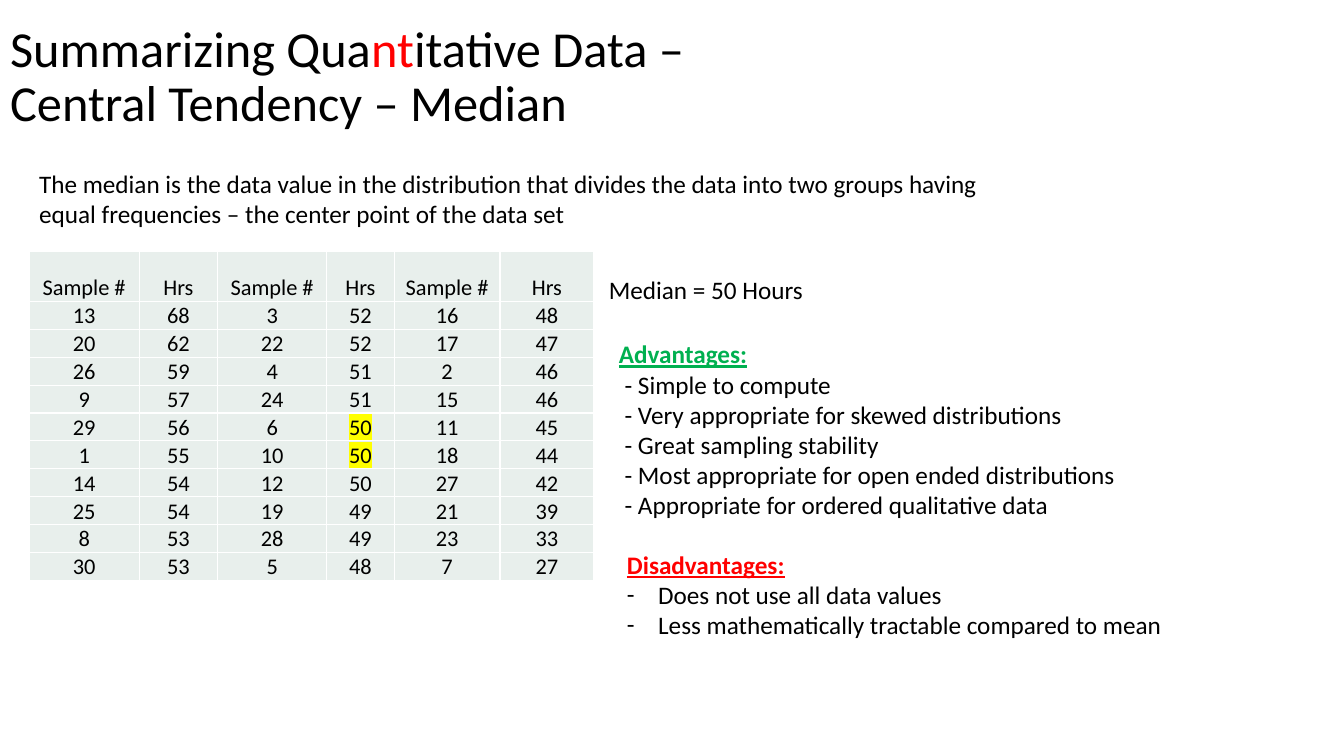
import dataclasses
import typing

import pptx
import pptx.dml.color
import pptx.enum.text
import pptx.oxml
import pptx.oxml.ns
import pptx.util

Inches = pptx.util.Inches
Pt = pptx.util.Pt
ANCHOR = pptx.enum.text.MSO_ANCHOR
ALIGN = pptx.enum.text.PP_ALIGN
FIT = pptx.enum.text.MSO_AUTO_SIZE

BLACK, RED, GREEN = "000000", "FF0000", "00B050"
WHITE, YELLOW, PALE_GREEN = "FFFFFF", "FFFF00", "E8EFEC"
HEADING = {"bold": True, "underline": True}


@dataclasses.dataclass
class Run:
    text: str
    color: str = BLACK
    format: dict[str, typing.Any] = dataclasses.field(default_factory=dict)


@dataclasses.dataclass
class Line:
    runs: list[Run]
    bullet: str = ""


@dataclasses.dataclass
class TextBox:
    left: float
    top: float
    width: float
    height: float
    lines: list[Line]


def rgb(color: str) -> pptx.dml.color.RGBColor:
    return pptx.dml.color.RGBColor.from_string(color)


def set_attributes(target: typing.Any, values: dict[str, typing.Any]) -> None:
    for name, value in values.items():
        setattr(target, name, value)


def element(xml: str) -> typing.Any:
    return pptx.oxml.parse_xml(xml.replace(" ", f" {pptx.oxml.ns.nsdecls('a')} ", 1))


def add_run(paragraph: typing.Any, run: Run, size: int) -> typing.Any:
    part = paragraph.add_run()
    part.text = run.text
    set_attributes(part.font, {"size": Pt(size), "name": "Calibri", **run.format})
    part.font.color.rgb = rgb(run.color)
    return part


def add_bullet(paragraph: typing.Any, bullet: str) -> None:
    properties = paragraph._p.get_or_add_pPr()
    properties.set("marL", str(Inches(0.31)))
    properties.set("indent", str(-Inches(0.31)))
    properties.append(element('<a:buFont typeface="Calibri"/>'))
    properties.append(element(f'<a:buChar char="{bullet}"/>'))


def add_text_box(slide: typing.Any, box: TextBox) -> None:
    shape = slide.shapes.add_textbox(
        Inches(box.left), Inches(box.top), Inches(box.width), Inches(box.height))
    frame = shape.text_frame
    set_attributes(frame, {"word_wrap": True, "auto_size": FIT.SHAPE_TO_FIT_TEXT})
    for index, line in enumerate(box.lines):
        paragraph = frame.add_paragraph() if index else frame.paragraphs[0]
        if line.bullet:
            add_bullet(paragraph, line.bullet)
        for run in line.runs:
            add_run(paragraph, run, 18)


def format_title(title: typing.Any, lines: list[Line]) -> None:
    set_attributes(title, {"left": Inches(0), "top": Inches(0.05),
                           "width": Inches(11.5), "height": Inches(1.45)})
    set_attributes(title.text_frame, {"vertical_anchor": ANCHOR.MIDDLE,
                                      "word_wrap": True, "auto_size": FIT.NONE})
    paragraph = title.text_frame.paragraphs[0]
    set_attributes(paragraph, {"alignment": ALIGN.LEFT, "line_spacing": 0.9})
    for index, line in enumerate(lines):
        if index:
            paragraph.add_line_break()
        for run in line.runs:
            add_run(paragraph, run, 36)


def fill_cell(cell: typing.Any, text: str, highlighted: bool) -> None:
    set_attributes(cell, {"vertical_anchor": ANCHOR.BOTTOM,
                          "margin_left": Inches(0.01), "margin_right": Inches(0.01),
                          "margin_top": Inches(0.01), "margin_bottom": Inches(0)})
    for side in ("lnL", "lnR", "lnT", "lnB"):
        cell._tc.get_or_add_tcPr().append(element(
            f'<a:{side} w="{Pt(1)}"><a:solidFill><a:srgbClr val="{WHITE}"/>'
            f'</a:solidFill></a:{side}>'))
    cell.fill.solid()
    cell.fill.fore_color.rgb = rgb(PALE_GREEN)
    paragraph = cell.text_frame.paragraphs[0]
    paragraph.alignment = ALIGN.CENTER
    part = add_run(paragraph, Run(text), 16)
    if highlighted:
        color_fill = part._r.rPr.find(pptx.oxml.ns.qn("a:solidFill"))
        color_fill.addnext(element(
            f'<a:highlight ><a:srgbClr val="{YELLOW}"/></a:highlight>'))


SAMPLE_HOURS = [
    (13, 68), (20, 62), (26, 59), (9, 57), (29, 56),
    (1, 55), (14, 54), (25, 54), (8, 53), (30, 53),
    (3, 52), (22, 52), (4, 51), (24, 51), (6, 50),
    (10, 50), (12, 50), (19, 49), (28, 49), (5, 48),
    (16, 48), (17, 47), (2, 46), (15, 46), (11, 45),
    (18, 44), (27, 42), (21, 39), (23, 33), (7, 27),
]
COLUMN_WIDTHS = [1.09, 0.78, 1.08, 0.67, 1.05, 0.93]
SAMPLES_PER_COLUMN = 10
MIDDLE_SAMPLES = (len(SAMPLE_HOURS) // 2 - 1, len(SAMPLE_HOURS) // 2)


def add_hours_table(slide: typing.Any) -> None:
    hours_table = slide.shapes.add_table(
        SAMPLES_PER_COLUMN + 1, len(COLUMN_WIDTHS),
        Inches(0.29), Inches(2.49), Inches(5.6), Inches(3)).table
    set_attributes(hours_table, {"first_row": False, "horz_banding": False})
    for column, width in zip(hours_table.columns, COLUMN_WIDTHS):
        column.width = Inches(width)
    for index, row in enumerate(hours_table.rows):
        row.height = Inches(0.25 if index else 0.5)
    for column in range(len(COLUMN_WIDTHS)):
        group, field = divmod(column, 2)
        fill_cell(hours_table.cell(0, column), ("Sample #", "Hrs")[field], False)
        for row in range(SAMPLES_PER_COLUMN):
            rank = group * SAMPLES_PER_COLUMN + row
            fill_cell(hours_table.cell(row + 1, column), str(SAMPLE_HOURS[rank][field]),
                      field == 1 and rank in MIDDLE_SAMPLES)


TITLE = [
    Line([Run("Summarizing Qua"), Run("nt", RED), Run("itative Data –")]),
    Line([Run("Central Tendency – Median")]),
]
DEFINITION = TextBox(0.29, 1.62, 10, 0.71, [Line([Run(
    "The median is the data value in the distribution that divides the data into "
    "two groups having equal frequencies – the center point of the data set")])])
ADVANTAGES = TextBox(6.04, 3.31, 6.64, 2.52, [
    Line([Run("Advantages:", GREEN, HEADING)]),
    *(Line([Run(f" - {advantage}")]) for advantage in (
        "Simple to compute",
        "Very appropriate for skewed distributions",
        "Great sampling stability",
        "Most appropriate for open ended distributions",
        "Appropriate for ordered qualitative data")),
])
DISADVANTAGES = TextBox(6.12, 5.4, 6.56, 1.92, [
    Line([Run("Disadvantages:", RED, HEADING)]),
    Line([Run("Does not use all data values")], "-"),
    Line([Run("Less mathematically tractable compared to mean")], "-"),
])
MEDIAN = TextBox(5.94, 2.67, 5.39, 0.4, [Line([Run("Median = 50 Hours")])])


def main() -> None:
    presentation = pptx.Presentation()
    set_attributes(presentation, {"slide_width": Inches(13.33),
                                  "slide_height": Inches(7.5)})
    slide = presentation.slides.add_slide(presentation.slide_layouts[5])
    format_title(slide.shapes.title, TITLE)
    add_text_box(slide, DEFINITION)
    add_hours_table(slide)
    for box in (ADVANTAGES, DISADVANTAGES, MEDIAN):
        add_text_box(slide, box)
    presentation.save("out.pptx")


if __name__ == "__main__":
    main()
